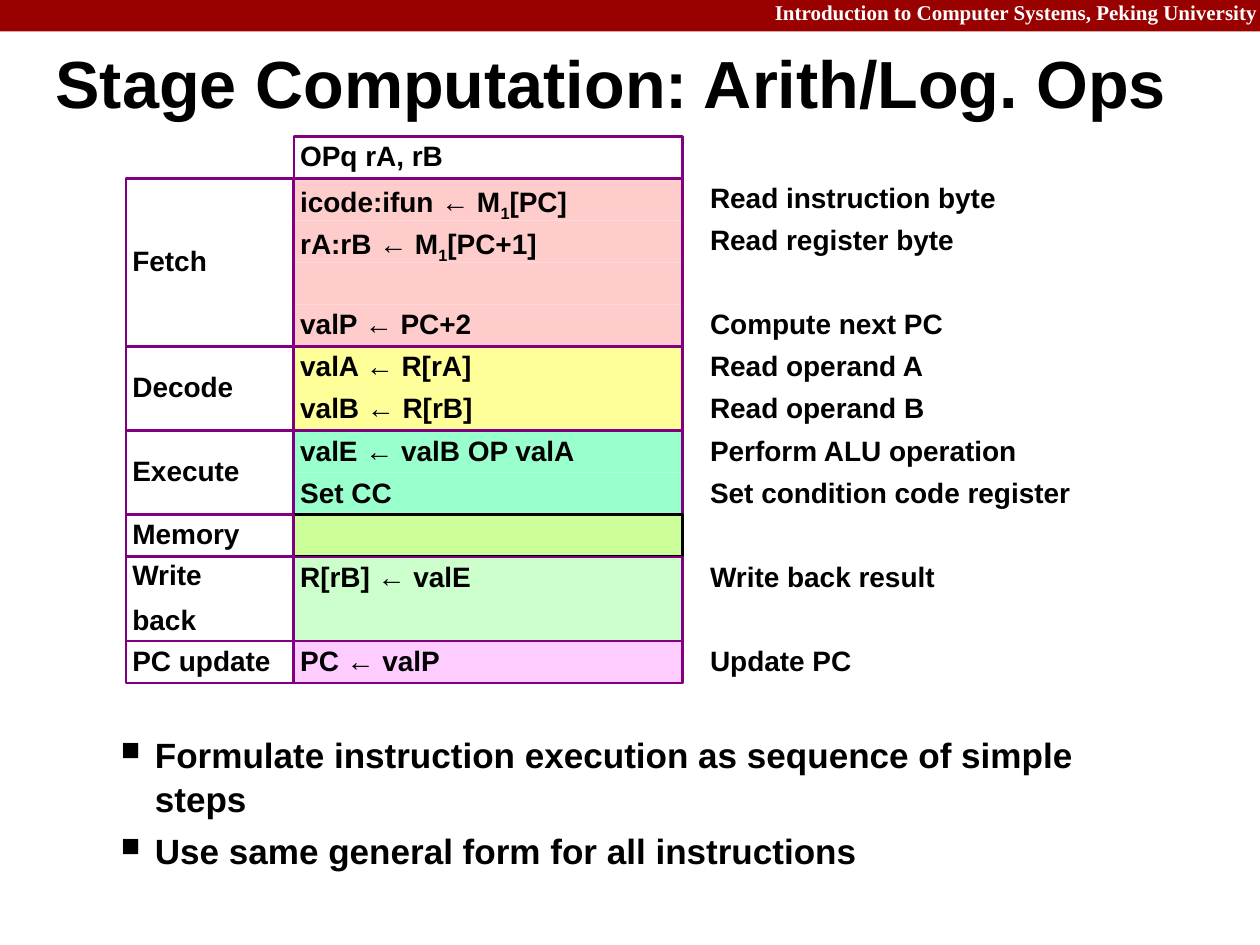
from lxml import etree
from pptx import Presentation
from pptx import util as u
from pptx.dml import color
from pptx.enum import shapes, text
from pptx.oxml import ns

BLACK, WHITE, PURPLE, CRIMSON = "000000", "FFFFFF", "800080", "990000"
ROW = 1 / 3
LABEL_WIDTH, STEP_WIDTH, NOTE_GAP = 1.33, 3.08, 0.17
CELL_INSETS = (0.05, 0.05, 0.05, 0.05)

STAGES = [
    ("Fetch", "FFCCCC", PURPLE, [
        (["icode:ifun ← M", "1", "[PC]"], "Read instruction byte"),
        (["rA:rB ← M", "1", "[PC+1]"], "Read register byte"),
        ([], ""),
        (["valP ← PC+2"], "Compute next PC")]),
    ("Decode", "FFFF99", PURPLE, [
        (["valA ← R[rA]"], "Read operand A"),
        (["valB ← R[rB]"], "Read operand B")]),
    ("Execute", "99FFCC", PURPLE, [
        (["valE ← valB OP valA"], "Perform ALU operation"),
        (["Set CC"], "Set condition code register")]),
    ("Memory", "CCFF99", BLACK, [([], "")]),
    ("Write\nback", "CCFFCC", PURPLE, [
        (["R[rB] ← valE"], "Write back result"),
        ([], "")]),
    ("PC update", "FFCCFF", PURPLE, [(["PC ← valP"], "Update PC")]),
]
POINTS = [
    "Formulate instruction execution as sequence of simple steps",
    "Use same general form for all instructions",
]


def rgb(value):
    """Turn a hex string into a colour."""
    return color.RGBColor.from_string(value)


def add_box(page, box, fill=None, line=None):
    """Add a rectangle with an optional fill and outline."""
    shape = page.shapes.add_shape(shapes.MSO_SHAPE.RECTANGLE, *map(u.Inches, box))
    shape.shadow.inherit = False
    if fill:
        shape.fill.solid()
        shape.fill.fore_color.rgb = rgb(fill)
    else:
        shape.fill.background()
    if line:
        shape.line.color.rgb = rgb(line)
        shape.line.width = u.Pt(1.5)
    else:
        shape.line.fill.background()
    return shape


def add_text_box(page, box):
    """Add an empty text box."""
    return page.shapes.add_textbox(*map(u.Inches, box))


def set_frame(shape, insets=CELL_INSETS, anchor=text.MSO_ANCHOR.TOP):
    """Set wrapping, insets and anchor, and return the text frame."""
    frame = shape.text_frame
    frame.word_wrap = True
    frame.vertical_anchor = anchor
    (frame.margin_left, frame.margin_top,
     frame.margin_right, frame.margin_bottom) = map(u.Inches, insets)
    return frame


def add_para(frame, index, spacing, before, align=text.PP_ALIGN.LEFT):
    """Return the paragraph at the index, spaced and aligned."""
    para = frame.add_paragraph() if index else frame.paragraphs[0]
    para.line_spacing = spacing
    para.alignment = align
    if index:
        para.space_before = u.Pt(before)
    return para


def add_span(para, words, size, hue=BLACK, font="Arial"):
    """Add one bold run."""
    span = para.add_run()
    span.text = words
    span.font.name = font
    span.font.size = u.Pt(size)
    span.font.bold = True
    span.font.color.rgb = rgb(hue)
    return span


def fill_cell(shape, lines, anchor=text.MSO_ANCHOR.TOP):
    """Write lines of runs, every second run of a line a subscript."""
    frame = set_frame(shape, anchor=anchor)
    for index, runs in enumerate(lines):
        para = add_para(frame, index, 0.9, 8)
        for position, words in enumerate(runs):
            span = add_span(para, words, 16)
            if position % 2:
                span.font._element.set("baseline", "-25000")


def add_banner(page, box):
    """Draw the course banner."""
    left, top, width, height = box
    add_box(page, box, CRIMSON)
    label = add_text_box(page, (left + 6, top - 0.03, width - 6, height + 0.03))
    frame = set_frame(label, (0.05, 0.05, 0.02, 0.05))
    para = add_para(frame, 0, 0.9, 0, text.PP_ALIGN.RIGHT)
    add_span(para, "Introduction to Computer Systems, Peking University",
             12, WHITE, "Times New Roman")


def add_title(page, box):
    """Write the slide title."""
    frame = set_frame(add_text_box(page, box), (0, 0, 0, 0), text.MSO_ANCHOR.MIDDLE)
    add_span(add_para(frame, 0, 0.87, 0), "Stage Computation: Arith/Log. Ops", 38)


def add_stage(page, box, label, fill, line, rows):
    """Draw one stage: its steps, outline, label and notes."""
    left, top, width, height = box
    step_left = left + LABEL_WIDTH
    note_left = step_left + STEP_WIDTH + NOTE_GAP
    for index, (step, note) in enumerate(rows):
        row_top = top + index * ROW
        cell = add_box(page, (step_left, row_top, STEP_WIDTH, ROW), fill)
        if step:
            fill_cell(cell, [step])
        if note:
            note_box = (note_left, row_top, left + width - note_left, ROW)
            fill_cell(add_text_box(page, note_box), [[note]])
    add_box(page, (step_left, top, STEP_WIDTH, height), line=line)
    name = add_box(page, (left, top, LABEL_WIDTH, height), line=PURPLE)
    fill_cell(name, [[part] for part in label.split("\n")], text.MSO_ANCHOR.MIDDLE)


def add_stages(page, box):
    """Draw the instruction heading and the stages below it."""
    left, top, width, _ = box
    heading = add_box(page, (left + LABEL_WIDTH, top, STEP_WIDTH, ROW), line=PURPLE)
    fill_cell(heading, [["OPq rA, rB"]])
    top += ROW
    for label, fill, line, rows in STAGES:
        height = len(rows) * ROW
        add_stage(page, (left, top, width, height), label, fill, line, rows)
        top += height


def add_points(page, box):
    """Write the bulleted points."""
    frame = set_frame(add_text_box(page, box), (0.1, 0.05, 0.1, 0.05))
    for index, words in enumerate(POINTS):
        para = add_para(frame, index, 1.04, 5)
        props = para._p.get_or_add_pPr()
        props.set("marL", str(u.Inches(0.81)))
        props.set("indent", str(u.Inches(-0.27)))
        etree.SubElement(props, ns.qn("a:buSzPct")).set("val", "75000")
        etree.SubElement(props, ns.qn("a:buChar")).set("char", "■")
        add_span(para, words, 20)


def main():
    """Build and save the deck."""
    deck = Presentation()
    deck.slide_width, deck.slide_height = u.Inches(9.99), u.Inches(7.49)
    page = deck.slides.add_slide(deck.slide_layouts[6])
    add_banner(page, (0, 0, 9.99, 0.25))
    add_title(page, (0.44, 0.27, 9.52, 0.85))
    add_points(page, (0.32, 5.75, 9.07, 1.28))
    add_stages(page, (1, 1.08, 7.66, 13 * ROW))
    deck.save("out.pptx")


if __name__ == "__main__":
    main()
